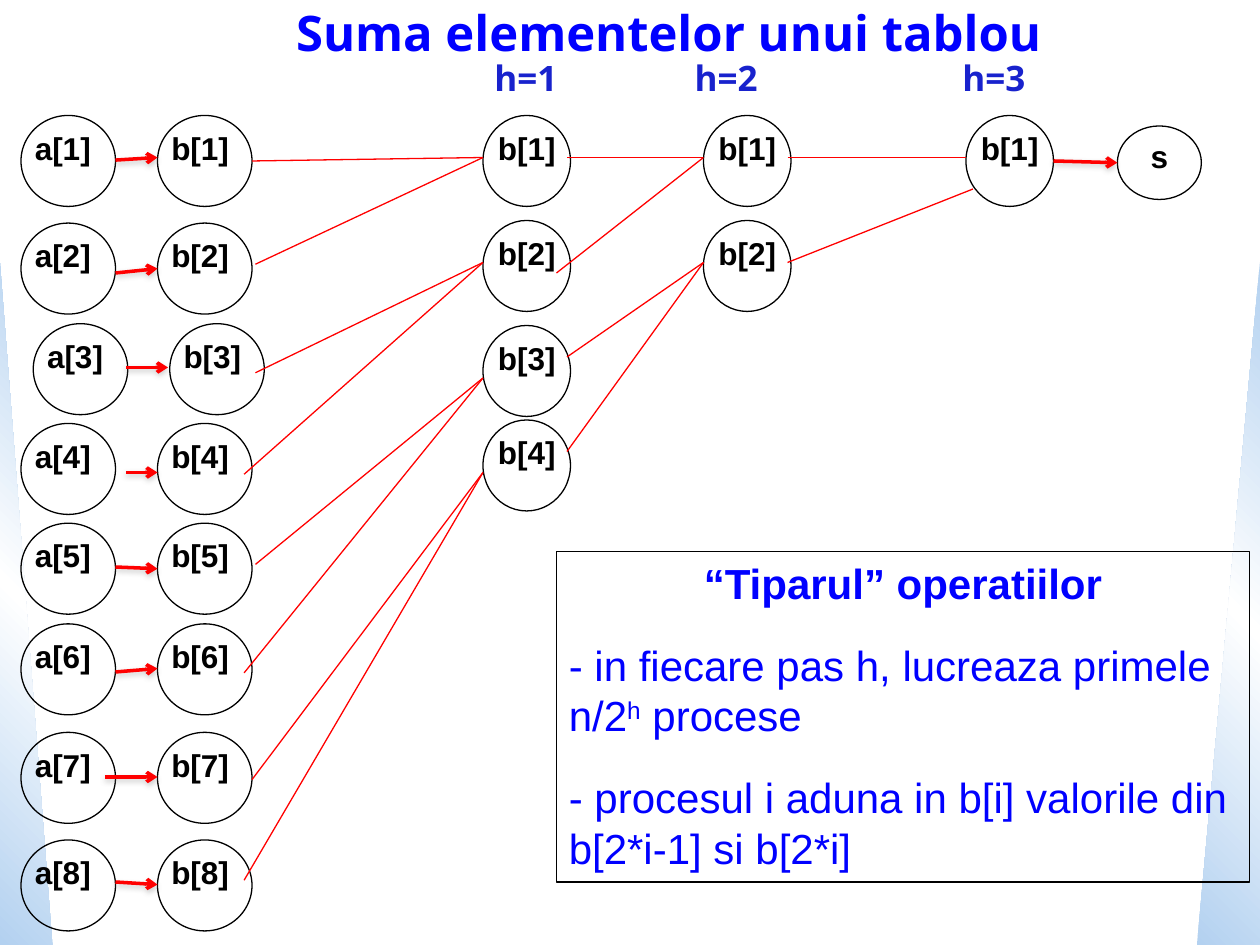
from copy import deepcopy

from pptx import Presentation
from pptx.dml.color import RGBColor
from pptx.enum.shapes import MSO_CONNECTOR, MSO_SHAPE
from pptx.enum.text import MSO_ANCHOR, PP_ALIGN
from pptx.oxml import parse_xml
from pptx.oxml.ns import nsdecls, qn
from pptx.util import Pt

OVAL, RECT, TRIANGLE = MSO_SHAPE.OVAL, MSO_SHAPE.RECTANGLE, MSO_SHAPE.RIGHT_TRIANGLE
STRAIGHT = MSO_CONNECTOR.STRAIGHT
LEFT, CENTER, TOP = PP_ALIGN.LEFT, PP_ALIGN.CENTER, MSO_ANCHOR.TOP

BLACK = RGBColor(0x00, 0x00, 0x00)
WHITE = RGBColor(0xFF, 0xFF, 0xFF)
RED = RGBColor(0xFF, 0x00, 0x00)
BLUE = RGBColor(0x00, 0x00, 0xFF)
STEP_BLUE = RGBColor(0x18, 0x22, 0xCD)
PALE_BLUE = RGBColor(0xB3, 0xD1, 0xF0)

TITLE = "Suma elementelor unui tablou"
STEP_LABELS = [("h=1", 206.5), ("h=2", 321), ("h=3", 474)]  # text, tab stop
PATTERN = [
    (CENTER, True, [("“Tiparul” operatiilor", False)]),
    (LEFT, False, [("- in fiecare pas h, lucreaza primele n/2", False), ("h", True), (" procese", False)]),
    (LEFT, False, [("- procesul i aduna in b[i] valorile din b[2*i-1] si b[2*i]", False)]),
]

# One row per array element: left, top, copy arrow from, copy arrow to
ARRAY_ROWS = [
    (12, 66, (66, 91.5), (90, 90)),
    (12, 127.5, (66, 156), (90, 153.5)),
    (19, 185, (72, 210), (96, 210)),
    (12, 242, (72, 270), (90, 270)),
    (12, 299, (66, 324), (90, 325)),
    (12, 356.5, (66, 384), (90, 382)),
    (12, 418.5, (60, 444), (90, 444)),
    (12, 480, (66, 504), (90, 505.5)),
]
COPY_OFFSET = 78
ARRAY_SIZE, SUM_SIZE = (54, 52), (50, 52)
SUM_TOPS = [66, 126, 186, 240]

# Per step h: column left, starts of the links, ends of the links (two starts each)
STEPS = [
    (276,
     [(144, 92), (146, 151), (146, 213), (139.5, 271),
      (146, 322.5), (139.5, 384.5), (144, 445.5), (139.5, 503)],
     [(276, 90), (276, 150), (276, 216), (276, 270)]),
    (402,
     [(324, 90), (318, 156), (324, 204), (324, 258)],
     [(402, 90), (402, 150)]),
    (552, [(450, 90)], [(552, 90)]),
    (None, [(450, 150)], [(556, 108)]),
]
RESULT = ("s", 638.5, 72, (48, 42))
RESULT_ARROW = ((602, 92), (638.5, 93))

ARROW_SHADOW = (
    f'<a:effectLst {nsdecls("a")}><a:outerShdw blurRad="40000" dist="20000" dir="5400000" rotWithShape="0">'
    '<a:srgbClr val="808080"><a:alpha val="38000"/></a:srgbClr></a:outerShdw></a:effectLst>'
)
NO_EFFECT = f'<a:effectLst {nsdecls("a")}/>'
ARROWHEAD = f'<a:tailEnd {nsdecls("a")} type="arrow"/>'


def set_all(target, **values):
    for name, value in values.items():
        setattr(target, name, value)


def add_run(paragraph, text, font, size, color, bold=True):
    run = paragraph.add_run()
    run.text = text
    set_all(run.font, name=font, size=Pt(size), bold=bold)
    run.font.color.rgb = color
    return run


def add_outline(shapes, kind, left, top, width, height):
    """Add an unfilled shape with a thin black outline."""
    shape = shapes.add_shape(kind, Pt(left), Pt(top), Pt(width), Pt(height))
    shape.shadow.inherit = False
    shape.fill.background()
    shape.line.color.rgb = BLACK
    shape.line.width = Pt(0.75)
    set_all(shape.text_frame, word_wrap=True, vertical_anchor=TOP)
    return shape


def add_node(shapes, label, left, top, size, align):
    frame = add_outline(shapes, OVAL, left, top, *size).text_frame
    set_all(frame, margin_left=0, margin_right=0, margin_top=0, margin_bottom=0)
    frame.paragraphs[0].alignment = align
    add_run(frame.paragraphs[0], label, "Arial", 18, BLACK)


def add_link(shapes, start, end, arrow=False):
    link = shapes.add_connector(STRAIGHT, *map(Pt, start + end))
    link.line.color.rgb = RED
    link.line.width = Pt(2 if arrow else 0.75)
    if arrow:
        link.line._get_or_add_ln().append(parse_xml(ARROWHEAD))
    link._element.spPr.append(parse_xml(ARROW_SHADOW if arrow else NO_EFFECT))


def add_side_wedge(shapes, left, width, angle, mirrored):
    wedge = shapes.add_shape(TRIANGLE, Pt(left), Pt(150), Pt(width), Pt(390))
    wedge.shadow.inherit = False
    wedge.line.fill.background()
    properties = wedge._element.spPr
    if mirrored:
        properties.xfrm.set("flipH", "1")
    wedge.fill.gradient()
    wedge.fill.gradient_angle = angle
    stop_list = properties.find(".//" + qn("a:gsLst"))
    stop_list.insert(1, deepcopy(stop_list[0]))
    for stop, position, color in zip(wedge.fill.gradient_stops, (0, 0.5, 1), (PALE_BLUE, WHITE, PALE_BLUE)):
        stop.position = position
        stop.color.rgb = color


def add_heading(shapes):
    frame = shapes.add_textbox(Pt(94), Pt(5), Pt(576), Pt(60)).text_frame
    set_all(frame, word_wrap=True, margin_left=0, margin_right=0, margin_top=0, margin_bottom=0)
    title, steps = frame.paragraphs[0], frame.add_paragraph()
    set_all(title, alignment=CENTER, line_spacing=0.9)
    add_run(title, TITLE, "Noto Sans", 28, BLUE)
    set_all(steps, alignment=LEFT, line_spacing=0.9)
    tabs = "".join(f'<a:tab pos="{Pt(stop)}" algn="ctr"/>' for _, stop in STEP_LABELS)
    steps._p.get_or_add_pPr().append(parse_xml(f'<a:tabLst {nsdecls("a")}>{tabs}</a:tabLst>'))
    add_run(steps, "".join("\t" + label for label, _ in STEP_LABELS), "Noto Sans", 20, STEP_BLUE)


def add_pattern_box(shapes):
    frame = add_outline(shapes, RECT, 318, 315, 396, 189).text_frame
    for index, (align, bold, pieces) in enumerate(PATTERN):
        paragraph = frame.add_paragraph() if index else frame.paragraphs[0]
        set_all(paragraph, alignment=align, space_after=Pt(18))
        for text, raised in pieces:
            run = add_run(paragraph, text, "Arial", 24, BLUE, bold)
            if raised:
                run._r.get_or_add_rPr().set("baseline", "30000")


def main():
    deck = Presentation()
    set_all(deck, slide_width=Pt(720), slide_height=Pt(540))
    shapes = deck.slides.add_slide(deck.slide_layouts[6]).shapes

    add_side_wedge(shapes, 0, 30, 45, False)
    add_side_wedge(shapes, 684, 36, 315, True)
    add_heading(shapes)

    for number, (left, top, start, end) in enumerate(ARRAY_ROWS, 1):
        add_node(shapes, f"a[{number}]", left, top, ARRAY_SIZE, LEFT)
        add_node(shapes, f"b[{number}]", left + COPY_OFFSET, top, ARRAY_SIZE, LEFT)
        add_link(shapes, start, end, arrow=True)

    for left, starts, ends in STEPS:
        if left is not None:
            for number, (top, _) in enumerate(zip(SUM_TOPS, ends), 1):
                add_node(shapes, f"b[{number}]", left, top, SUM_SIZE, CENTER)
        for index, start in enumerate(starts):
            add_link(shapes, start, ends[index // 2])

    add_node(shapes, *RESULT, CENTER)
    add_link(shapes, *RESULT_ARROW, arrow=True)
    add_pattern_box(shapes)
    deck.save("out.pptx")


if __name__ == "__main__":
    main()
